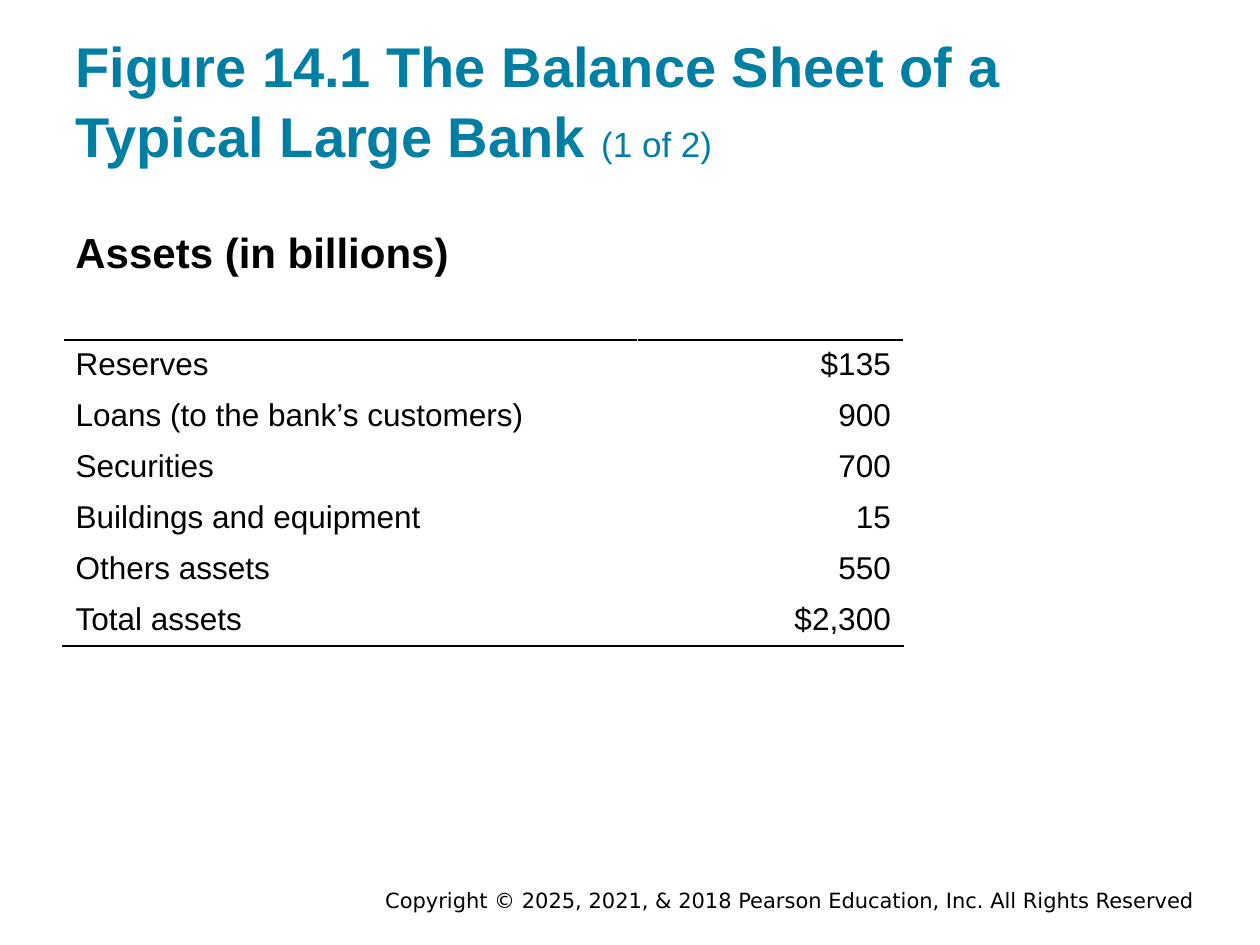
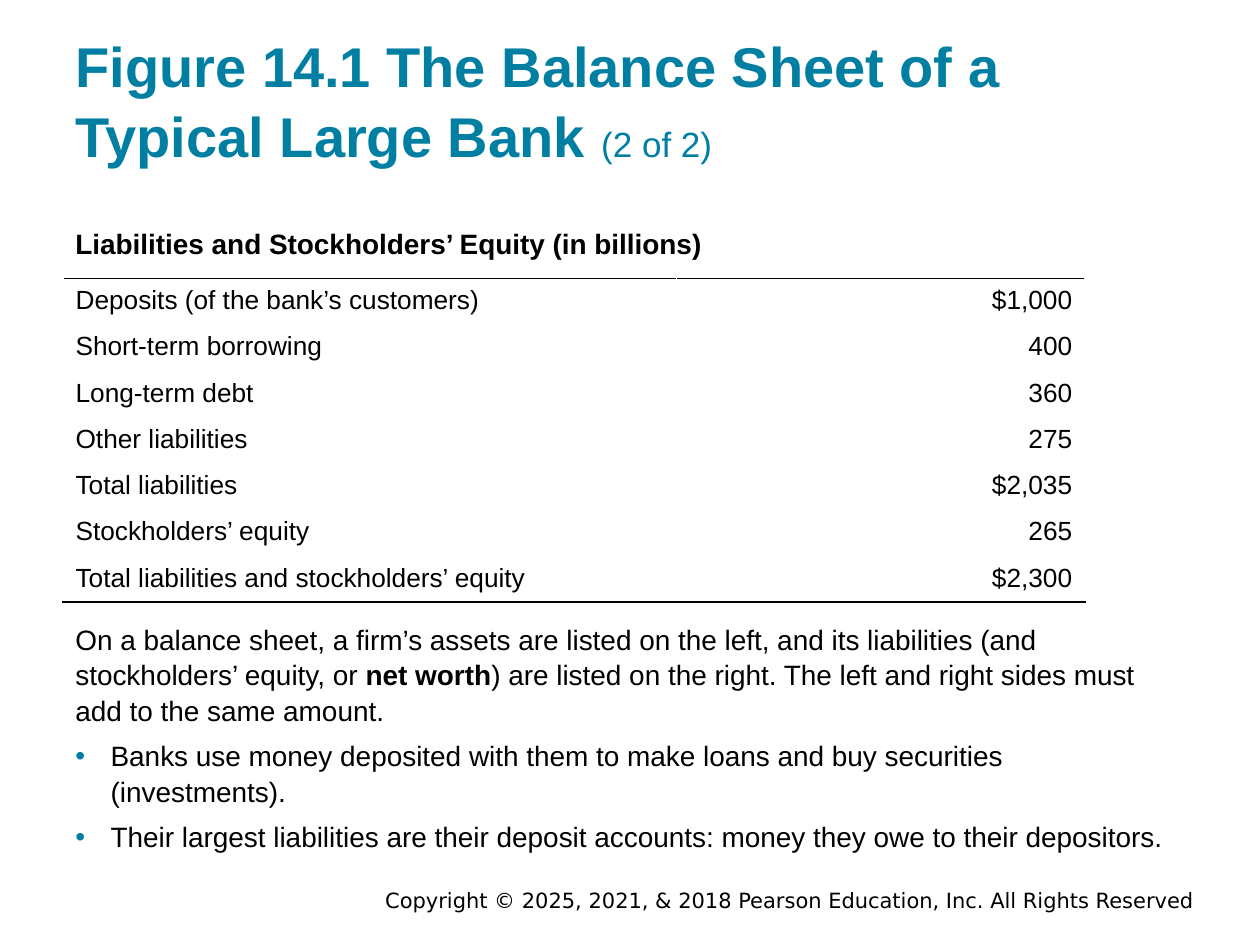
import pptx
import pptx.util
import pptx.dml.color
import pptx.enum.text
import pptx.oxml
import pptx.oxml.ns

Inches, Pt = pptx.util.Inches, pptx.util.Pt
ALIGN = pptx.enum.text.PP_ALIGN
ANCHOR = pptx.enum.text.MSO_ANCHOR
NS = pptx.oxml.ns.nsdecls("a")

HEX = {"teal": "007FA3", "black": "000000"}
FONT = "Arial"
WIDE, HIGH = 10, 7.5
LEFT = WIDE * 0.05
SPAN = WIDE - 2 * LEFT
PAD = 0.1
LEAD = 1.05
DENT = 0.28

TITLE = "Figure 14.1 The Balance Sheet of a Typical Large Bank "
RIGHTS = "Copyright © 2025, 2021, & 2018 Pearson Education, Inc. All Rights Reserved"

# Each run is (text, bold); each note is (bulleted, runs).
SHEETS = [
    {
        "head": "Assets (in billions)", "size": 24, "tall": 0.68,
        "top": 2.7, "cols": (4.56, 2.11), "row": 0.405, "text": 18, "inset": 0.05,
        "rows": [
            ("Reserves", "$135"),
            ("Loans (to the bank’s customers)", "900"),
            ("Securities", "700"),
            ("Buildings and equipment", "15"),
            ("Others assets", "550"),
            ("Total assets", "$2,300"),
        ],
        "notes": [],
    },
    {
        "head": "Liabilities and Stockholders’ Equity (in billions)", "size": 16, "tall": 0.42,
        "top": 2.21, "cols": (4.87, 3.24), "row": 0.367, "text": 15, "inset": 0.06,
        "rows": [
            ("Deposits (of the bank’s customers)", "$1,000"),
            ("Short-term borrowing", "400"),
            ("Long-term debt", "360"),
            ("Other liabilities", "275"),
            ("Total liabilities", "$2,035"),
            ("Stockholders’ equity", "265"),
            ("Total liabilities and stockholders’ equity", "$2,300"),
        ],
        "notes": [
            (False, [
                ("On a balance sheet, a firm’s assets are listed on the left, and its "
                 "liabilities (and stockholders’ equity, or ", False),
                ("net worth", True),
                (") are listed on the right. The left and right sides must add to "
                 "the same amount.", False),
            ]),
            (True, [("Banks use money deposited with them to make loans and buy "
                     "securities (investments).", False)]),
            (True, [("Their largest liabilities are their deposit accounts: money "
                     "they owe to their depositors.", False)]),
        ],
    },
]


def add_run(para, text, size, bold=False, color="black", font=FONT):
    run = para.add_run()
    run.text = text
    run.font.name, run.font.size, run.font.bold = font, Pt(size), bold
    run.font.color.rgb = pptx.dml.color.RGBColor.from_string(HEX[color])


def set_frame(shape, anchor=ANCHOR.TOP, edge=PAD):
    """Set wrap, anchor and insets, and return the text frame."""
    frame = shape.text_frame
    frame.word_wrap = True
    frame.auto_size = pptx.enum.text.MSO_AUTO_SIZE.NONE
    frame.vertical_anchor = anchor
    frame.margin_left = frame.margin_right = Inches(PAD)
    frame.margin_top = frame.margin_bottom = Inches(edge)
    return frame


def add_box(slide, left, top, width, height, **frame):
    box = slide.shapes.add_textbox(*map(Inches, (left, top, width, height)))
    return set_frame(box, **frame)


def add_title(slide, count):
    title = slide.shapes.title
    title.left, title.top = Inches(LEFT), Inches(0.24)
    title.width, title.height = Inches(SPAN), Inches(1.2)
    para = set_frame(title, ANCHOR.BOTTOM).paragraphs[0]
    para.alignment, para.line_spacing = ALIGN.LEFT, LEAD
    add_run(para, TITLE, 32, True, "teal")
    add_run(para, count, 20, False, "teal")


def add_foot(slide):
    frame = add_box(slide, 1.75, 7.03, 7.83, 0.22, anchor=ANCHOR.MIDDLE, edge=0.05)
    para = frame.paragraphs[0]
    para.alignment = ALIGN.RIGHT
    add_run(para, RIGHTS, 12, font="DejaVu Sans")


def rule(cell, side):
    """Draw a 1 pt line on the top (T) or bottom (B) of a cell."""
    line = pptx.oxml.parse_xml(
        f'<a:ln{side} {NS} w="{Pt(1)}"><a:solidFill>'
        f'<a:srgbClr val="{HEX["black"]}"/></a:solidFill></a:ln{side}>')
    cell._tc.get_or_add_tcPr().insert(0, line)


def add_grid(slide, sheet):
    rows, cols = sheet["rows"], sheet["cols"]
    table = slide.shapes.add_table(
        len(rows), len(cols), Inches(LEFT), Inches(sheet["top"]),
        Inches(sum(cols)), Inches(sheet["row"] * len(rows))).table
    table.first_row = table.horz_banding = False
    for col, width in zip(table.columns, cols):
        col.width = Inches(width)
    for r, texts in enumerate(rows):
        for c, text in enumerate(texts):
            cell = table.cell(r, c)
            cell.fill.background()
            cell.margin_top = cell.margin_bottom = Inches(sheet["inset"])
            para = cell.text_frame.paragraphs[0]
            para.alignment = ALIGN.RIGHT if c else ALIGN.LEFT
            add_run(para, text, sheet["text"])
            if r == 0:
                rule(cell, "T")
            if r == len(rows) - 1:
                rule(cell, "B")


def add_notes(slide, notes):
    frame = add_box(slide, LEFT, 4.83, SPAN, 1.97)
    for i, (dot, runs) in enumerate(notes):
        para = frame.add_paragraph() if i else frame.paragraphs[0]
        para.line_spacing = LEAD
        if i:
            para.space_before = Pt(6)
        if dot:
            props = para._p.get_or_add_pPr()
            props.set("marL", str(Inches(DENT)))
            props.set("indent", str(-Inches(DENT)))
            for mark in (f'<a:buClr {NS}><a:srgbClr val="{HEX["teal"]}"/></a:buClr>',
                         f'<a:buFont {NS} typeface="{FONT}"/>',
                         f'<a:buChar {NS} char="•"/>'):
                props.append(pptx.oxml.parse_xml(mark))
        for text, bold in runs:
            add_run(para, text, 16, bold)


def main():
    deck = pptx.Presentation()
    deck.slide_width, deck.slide_height = Inches(WIDE), Inches(HIGH)
    plain = deck.slide_layouts.get_by_name("Title Only")
    for page, sheet in enumerate(SHEETS, 1):
        slide = deck.slides.add_slide(plain)
        add_foot(slide)
        add_title(slide, f"({page} of {len(SHEETS)})")
        head = add_box(slide, LEFT, 1.7, SPAN, sheet["tall"])
        add_run(head.paragraphs[0], sheet["head"], sheet["size"], True)
        add_grid(slide, sheet)
        if sheet["notes"]:
            add_notes(slide, sheet["notes"])
    deck.save("out.pptx")


if __name__ == "__main__":
    main()
